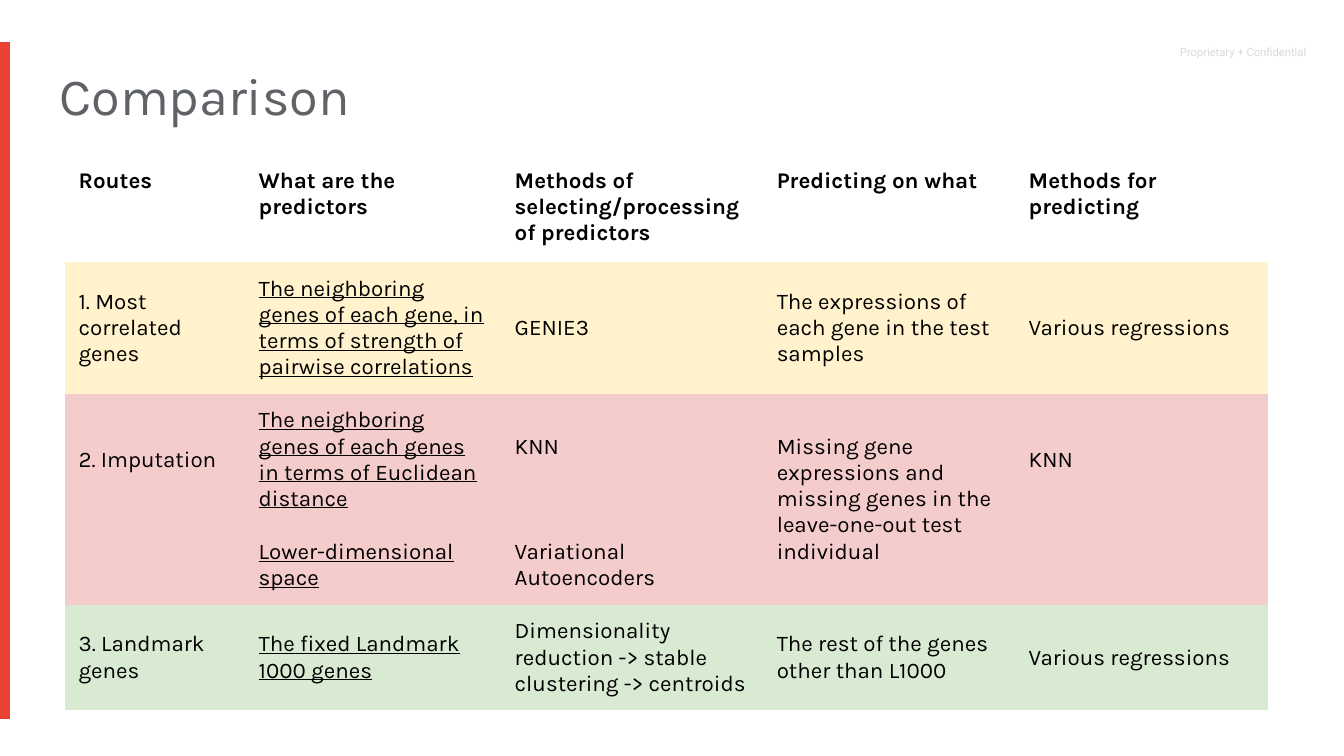
from lxml.etree import SubElement
from pptx import Presentation
from pptx.dml.color import RGBColor
from pptx.enum.shapes import MSO_CONNECTOR
from pptx.enum.text import MSO_ANCHOR, MSO_AUTO_SIZE
from pptx.oxml.ns import qn
from pptx.util import Pt

PX = 4572  # 200 px to the inch
INSET = 20 * PX


def style(p, size, color, font="Karla", bold=False, underline=False):
    p.font.size = Pt(size)
    p.font.name = font
    p.font.color.rgb = RGBColor.from_string(color)
    p.font.bold = bold
    p.font.underline = underline


def add_text(text, box, size, color, font):
    tf = s.shapes.add_textbox(*[v * PX for v in box]).text_frame
    tf.word_wrap = True
    tf.auto_size = MSO_AUTO_SIZE.NONE
    tf.vertical_anchor = MSO_ANCHOR.TOP
    tf.margin_left = tf.margin_right = tf.margin_top = tf.margin_bottom = INSET
    tf.text = text
    style(tf.paragraphs[0], size, color, font)


prs = Presentation()
prs.slide_width, prs.slide_height = 2000 * PX, 1125 * PX
s = prs.slides.add_slide(prs.slide_layouts[6])

# Confidentiality mark and title
add_text("Proprietary + Confidential", (1736, 48, 264, 66), 6, "D9D9D9", "Roboto")
add_text("Comparison", (69, 74, 1864, 116), 28, "5F6368", "Karla")

# Red bar on the left edge
bar = s.shapes.add_connector(MSO_CONNECTOR.STRAIGHT, 6 * PX, 62 * PX, 6 * PX, 1070 * PX)
bar.line.color.rgb = RGBColor.from_string("EA4335")
bar.line.width = Pt(6)
SubElement(bar._element.spPr, qn("a:effectLst"))

# Comparison table: row height, fill, cell texts
widths = [268, 381, 390, 375, 376]
rows = [
    (160, None, ["Routes", "What are the predictors",
                 "Methods of selecting/processing of predictors",
                 "Predicting on what", "Methods for predicting"]),
    (160, "FFF2CC", ["1. Most correlated genes",
                     "The neighboring genes of each gene, in terms of strength of pairwise correlations",
                     "GENIE3", "The expressions of each gene in the test samples",
                     "Various regressions"]),
    (84, "F4CCCC", ["2. Imputation",
                    "The neighboring genes of each genes in terms of Euclidean distance",
                    "KNN",
                    "Missing gene expressions and\nmissing genes in the leave-one-out test individual",
                    "KNN"]),
    (84, "F4CCCC", ["", "Lower-dimensional space", "Variational Autoencoders", "", ""]),
    (84, "D9EAD3", ["3. Landmark genes", "The fixed Landmark 1000 genes",
                    "Dimensionality reduction -> stable clustering -> centroids",
                    "The rest of the genes other than L1000", "Various regressions"]),
]
frame = s.shapes.add_table(len(rows), len(widths), 97 * PX, 230 * PX, 656 * PX, 656 * PX)
table = frame.table
table.first_row = table.horz_banding = False
# "No Style, No Grid"
table._tbl.tblPr.find(qn("a:tableStyleId")).text = "{2D5ABB26-0587-4C30-8999-92F81FD0307C}"

for column, width in zip(table.columns, widths):
    column.width = width * PX

for i, (row_height, fill, texts) in enumerate(rows):
    table.rows[i].height = row_height * PX
    for j, text in enumerate(texts):
        cell = table.cell(i, j)
        cell.margin_left = cell.margin_right = cell.margin_top = cell.margin_bottom = INSET
        if fill:
            cell.fill.solid()
            cell.fill.fore_color.rgb = RGBColor.from_string(fill)
            cell.vertical_anchor = MSO_ANCHOR.MIDDLE
        else:
            cell.fill.background()
        cell.text = text
        for p in cell.text_frame.paragraphs:
            style(p, 12, "000000", bold=i == 0, underline=i > 0 and j == 1)

# The first KNN sits half a line above the middle
table.cell(2, 2).margin_bottom = INSET + 39 * PX

# One target shared by both imputation rows
table.cell(2, 3).merge(table.cell(3, 3))

# Rows grow with their text from this frame
frame.width = frame.height = 656 * PX

prs.save("out.pptx")
